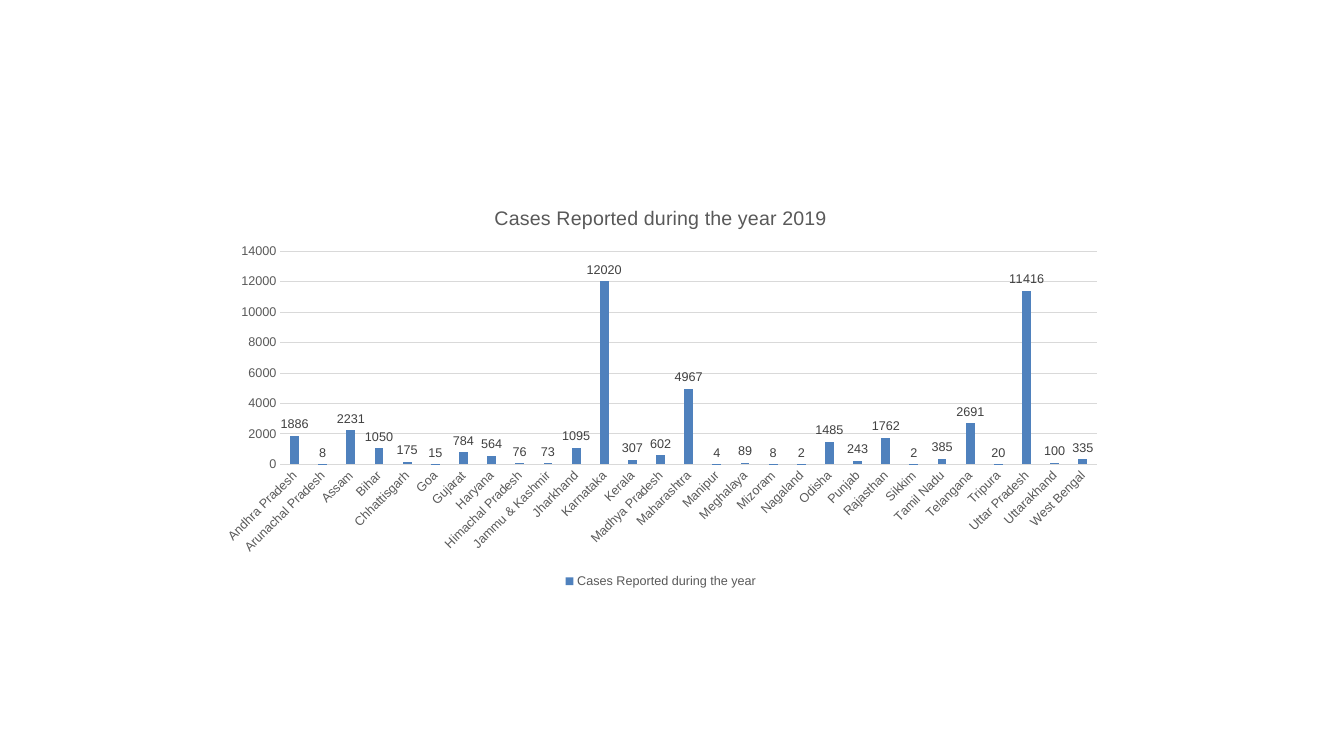
from pptx import Presentation
from pptx.chart.data import CategoryChartData
from pptx.dml.color import RGBColor
from pptx.enum.chart import XL_CHART_TYPE as CT, XL_LABEL_POSITION as LP
from pptx.enum.chart import XL_LEGEND_POSITION as LEG, XL_TICK_MARK as TM
from pptx.util import Inches, Pt

TITLE = "Cases Reported during the year 2019"
SERIES = "Cases Reported during the year"
CASES = {
    "Andhra Pradesh": 1886, "Arunachal Pradesh": 8, "Assam": 2231,
    "Bihar": 1050, "Chhattisgarh": 175, "Goa": 15, "Gujarat": 784,
    "Haryana": 564, "Himachal Pradesh": 76, "Jammu & Kashmir": 73,
    "Jharkhand": 1095, "Karnataka": 12020, "Kerala": 307,
    "Madhya Pradesh": 602, "Maharashtra": 4967, "Manipur": 4,
    "Meghalaya": 89, "Mizoram": 8, "Nagaland": 2, "Odisha": 1485,
    "Punjab": 243, "Rajasthan": 1762, "Sikkim": 2, "Tamil Nadu": 385,
    "Telangana": 2691, "Tripura": 20, "Uttar Pradesh": 11416,
    "Uttarakhand": 100, "West Bengal": 335,
}
COLORS = {"bar": "4F81BD", "text": "595959", "label": "404040",
          "grid": "D9D9D9", "base": "000000"}


def rgb(name):
    return RGBColor.from_string(COLORS[name])


def style_font(font, size, color):
    font.name = "Arial"
    font.size = Pt(size)
    font.bold = False
    font.color.rgb = rgb(color)


def style_line(line):
    line.color.rgb = rgb("grid")
    line.width = Pt(0.75)


prs = Presentation()
prs.slide_width, prs.slide_height = Inches(13.33), Inches(7.5)
s = prs.slides.add_slide(prs.slide_layouts[6])

data = CategoryChartData()
data.categories = list(CASES)
data.add_series(SERIES, list(CASES.values()))
chart = s.shapes.add_chart(CT.COLUMN_CLUSTERED, Inches(2.05), Inches(1.87),
                           Inches(9.01), Inches(4.01), data).chart
style_font(chart.font, 10, "base")

chart.has_title = True
tf = chart.chart_title.text_frame
tf.text = TITLE
style_font(tf.paragraphs[0].runs[0].font, 14, "text")
chart.chart_title.include_in_layout = False

chart.has_legend = True
chart.legend.position = LEG.BOTTOM
chart.legend.include_in_layout = False
style_font(chart.legend.font, 9, "text")

cat_axis, val_axis = chart.category_axis, chart.value_axis
for axis in (cat_axis, val_axis):
    axis.major_tick_mark = axis.minor_tick_mark = TM.NONE
    style_font(axis.tick_labels.font, 9, "text")
style_line(cat_axis.format.line)
val_axis.format.line.fill.background()
style_line(val_axis.major_gridlines.format.line)

plot = chart.plots[0]
plot.gap_width, plot.overlap = 219, -27
plot.vary_by_categories = False
bars = plot.series[0]
bars.format.fill.solid()
bars.format.fill.fore_color.rgb = rgb("bar")
labels = bars.data_labels
labels.show_value = True
labels.position = LP.OUTSIDE_END
style_font(labels.font, 9, "label")

prs.save("out.pptx")
